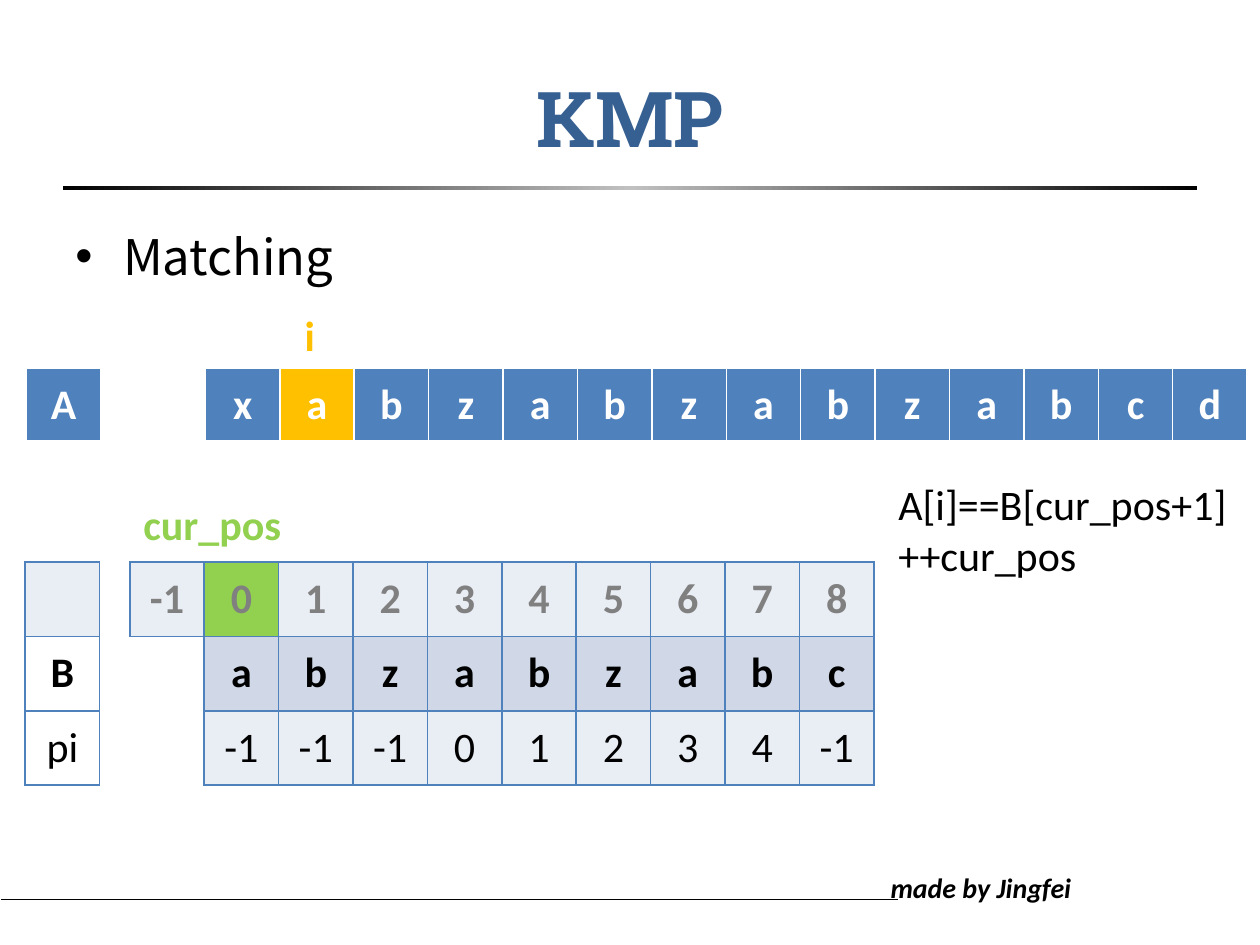
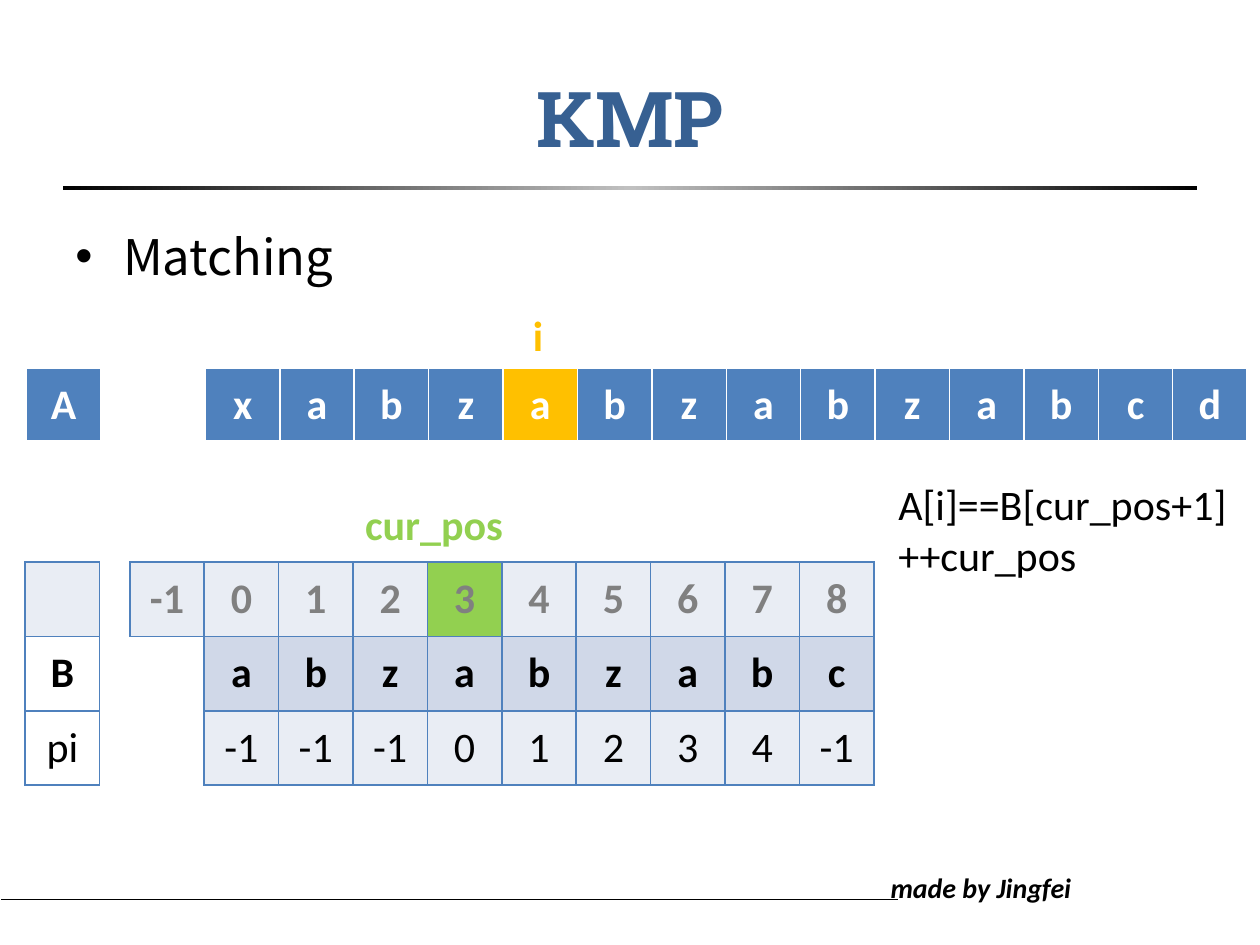
from copy import deepcopy

from pptx import Presentation
from pptx.dml.color import RGBColor
from pptx.enum.shapes import MSO_CONNECTOR, MSO_SHAPE
from pptx.enum.text import MSO_ANCHOR, MSO_AUTO_SIZE, PP_ALIGN
from pptx.oxml.ns import qn
from pptx.oxml.xmlchemy import OxmlElement
from pptx.util import Inches, Pt

BLACK = RGBColor(0x00, 0x00, 0x00)
WHITE = RGBColor(0xFF, 0xFF, 0xFF)
SILVER = RGBColor(0xC0, 0xC0, 0xC0)
GRAY = RGBColor(0x80, 0x80, 0x80)
NAVY = RGBColor(0x37, 0x60, 0x92)
BLUE = RGBColor(0x4F, 0x81, 0xBD)
PALE = RGBColor(0xE9, 0xED, 0xF4)
BAND = RGBColor(0xD0, 0xD8, 0xE8)
AMBER = RGBColor(0xFF, 0xC0, 0x00)
GREEN = RGBColor(0x92, 0xD0, 0x50)

BODY_FONT = "Calibri"
TITLE_FONT = "Roboto Slab"
BULLET_FONT = "Noto Sans CJK SC"

CELL = 9.45 / 16
GAP = 0.23
SIDES = {"a:lnL": (0, -1), "a:lnR": (0, 1), "a:lnT": (-1, 0), "a:lnB": (1, 0)}

TEXT_ROW = ["A", None, None, *"xabzabzabzabcd"]
PATTERN_ROWS = [
    ["", None, *(str(position) for position in range(-1, 9))],
    ["B", None, None, *"abzabzabc"],
    ["pi", None, None, "-1", "-1", "-1", "0", "1", "2", "3", "4", "-1"],
]
CODE = ["    A[i]==B[cur_pos+1]", "    ++cur_pos"]

STEPS = [
    {"index": 1, "position": 0, "index_left": 2.32, "position_left": 1.04},
    {"index": 4, "position": 3, "index_left": 4.13, "position_left": 2.8},
]


class MatchingDeck:
    """Holds the deck style and the slide being drawn."""

    def __init__(self):
        self.deck = Presentation()
        self.deck.slide_width, self.deck.slide_height = Inches(10), Inches(7.5)
        self.page = None

    def add_page(self):
        self.page = self.deck.slides.add_slide(self.deck.slide_layouts[6])
        self.footer()
        self.title("KMP")
        self.bullet("Matching")

    def add_span(self, para, text, size=24, color=BLACK, bold=False, italic=False, font=BODY_FONT):
        span = para.add_run()
        span.text = text
        span.font.name, span.font.size = font, Pt(size)
        span.font.bold, span.font.italic = bold, italic
        span.font.color.rgb = color

    def text(self, place, lines, wrap=True, grow=False, **style):
        box = self.page.shapes.add_textbox(*map(Inches, place))
        frame = box.text_frame
        frame.word_wrap = wrap
        frame.auto_size = MSO_AUTO_SIZE.SHAPE_TO_FIT_TEXT if grow else MSO_AUTO_SIZE.NONE
        for number, line in enumerate(lines):
            para = frame.add_paragraph() if number else frame.paragraphs[0]
            self.add_span(para, line, **style)
        return frame

    def title(self, heading):
        frame = self.text((0.5, 0.3, 9, 1.25), [heading], size=44, color=NAVY, bold=True, font=TITLE_FONT)
        frame.vertical_anchor = MSO_ANCHOR.MIDDLE
        frame.paragraphs[0].alignment = PP_ALIGN.CENTER
        self.title_rule()

    def title_rule(self):
        rule = self.page.shapes.add_shape(
            MSO_SHAPE.RECTANGLE, Inches(0.5), Inches(1.48), Inches(9), Inches(0.03))
        rule.shadow.inherit = False
        rule.line.fill.background()
        rule.fill.gradient()
        rule.fill.gradient_angle = 0
        stop_list = rule._element.spPr.find(".//" + qn("a:gsLst"))
        stop_list.insert(1, deepcopy(stop_list[0]))
        for number, (stop, color) in enumerate(zip(rule.fill.gradient_stops, (BLACK, SILVER, BLACK))):
            stop.position = number / 2
            stop.color.rgb = color

    def bullet(self, line):
        frame = self.text((0.5, 1.75, 9.5, 5.46), [line], size=28, font=BULLET_FONT)
        settings = frame.paragraphs[0]._p.get_or_add_pPr()
        settings.set("marL", str(Inches(0.38)))
        settings.set("indent", str(-Inches(0.38)))
        face = OxmlElement("a:buFont")
        face.set("typeface", "Arial")
        mark = OxmlElement("a:buChar")
        mark.set("char", "•")
        settings.extend([face, mark])

    def footer(self):
        line = self.page.shapes.add_connector(
            MSO_CONNECTOR.STRAIGHT, Inches(0.01), Inches(7.14), Inches(7.13), Inches(7.14))
        line.line.color.rgb, line.line.width = BLACK, Pt(0.5)
        line._element.spPr.append(OxmlElement("a:effectLst"))
        self.text((6.97, 6.86, 1.67, 0.37), ["made by Jingfei"], grow=True, size=16, bold=True, italic=True)

    def label(self, place, lines, **style):
        self.text(place, lines, wrap=False, grow=True, **style)

    def border(self, cell, side, color, width):
        edge = OxmlElement(side)
        edge.set("w", str(Pt(width)))
        if color is None:
            edge.append(OxmlElement("a:noFill"))
        else:
            fill = OxmlElement("a:solidFill")
            shade = OxmlElement("a:srgbClr")
            shade.set("val", str(color))
            fill.append(shade)
            edge.append(fill)
        cell._tc.get_or_add_tcPr().append(edge)

    def table(self, left, top, rows, look, edge_color, bottom=1):
        columns = len(rows[0])
        grid = self.page.shapes.add_table(
            len(rows), columns, Inches(left), Inches(top),
            Inches(CELL * (columns - 1) + GAP), Inches(CELL * len(rows))).table
        grid.first_row = grid.horz_banding = False
        for number, column in enumerate(grid.columns):
            column.width = Inches(GAP if number == 1 else CELL)
        boxed = {(r, c) for r, row in enumerate(rows) for c, text in enumerate(row) if text is not None}
        for r, row in enumerate(rows):
            grid.rows[r].height = Inches(CELL)
            for c, text in enumerate(row):
                cell = grid.cell(r, c)
                for side, (down, right) in SIDES.items():
                    lined = boxed & {(r, c), (r + down, c + right)}
                    self.border(cell, side, edge_color if lined else None, bottom if side == "a:lnB" else 1)
                fill, color, bold = look(r, c)
                if text is None or fill is None:
                    cell.fill.background()
                else:
                    cell.fill.solid()
                    cell.fill.fore_color.rgb = fill
                cell.vertical_anchor = MSO_ANCHOR.MIDDLE
                if text:
                    para = cell.text_frame.paragraphs[0]
                    para.alignment = PP_ALIGN.CENTER
                    self.add_span(para, text, color=color, bold=bold)

    def matching_step(self, index, position, index_left, position_left):
        def text_look(row, column):
            return AMBER if column == index + 3 else BLUE, WHITE, True

        def pattern_look(row, column):
            if row == 0:
                return GREEN if column == position + 3 else PALE, GRAY, True
            fill = None if column == 0 else (BAND if row == 1 else PALE)
            return fill, BLACK, row == 1

        self.add_page()
        self.table(0.21, 2.92, [TEXT_ROW], text_look, WHITE, bottom=3)
        self.table(0.2, 4.46, PATTERN_ROWS, pattern_look, BLUE)
        self.label((6.73, 3.75, 3.44, 0.91), CODE)
        self.label((position_left, 3.91, 1.43, 0.5), ["cur_pos"], color=GREEN, bold=True)
        self.label((index_left, 2.41, 0.29, 0.5), ["i"], color=AMBER, bold=True)


def main():
    matching = MatchingDeck()
    for step in STEPS:
        matching.matching_step(**step)
    matching.deck.save("out.pptx")


if __name__ == "__main__":
    main()
